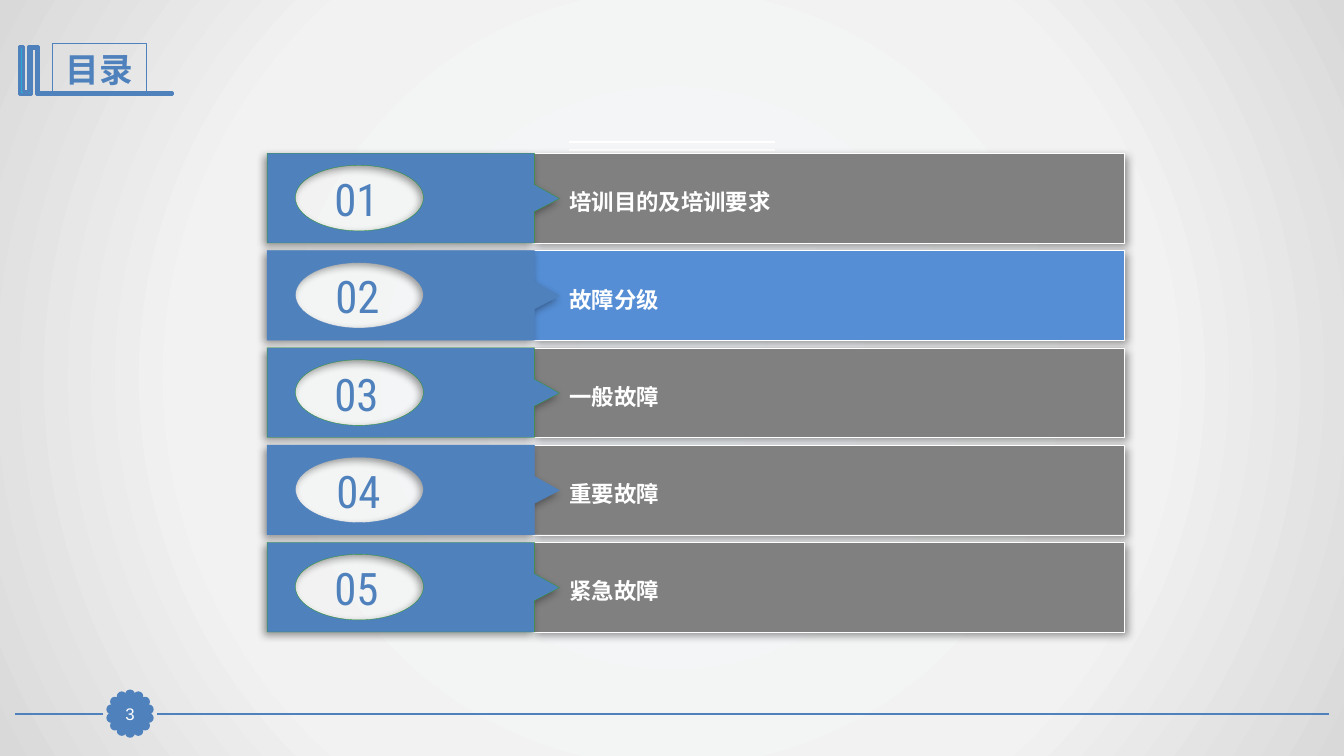
from dataclasses import dataclass
from math import cos, pi, sin

from lxml.etree import SubElement
from pptx import Presentation
from pptx.dml.color import RGBColor
from pptx.enum.shapes import MSO_CONNECTOR as Connector, MSO_SHAPE as Preset
from pptx.enum.text import MSO_ANCHOR as Anchor, MSO_AUTO_SIZE as AutoSize, PP_ALIGN as Align
from pptx.oxml import parse_xml
from pptx.oxml.ns import nsdecls, qn
from pptx.shapes.base import BaseShape
from pptx.shapes.shapetree import GroupShapes, SlideShapes
from pptx.slide import Slide
from pptx.util import Inches, Pt

COLORS = {
    "blue": "4F81BD",
    "bright": "558ED5",
    "cyan": "28A9D6",
    "gray": "808080",
    "green": "339933",
    "white": "FFFFFF",
    "black": "000000",
    "glow": "F6F9FC",
    "mist": "F2F2F2",
    "edge": "D9D9D9",
}
HEADING_FONT = "Roboto Condensed"
BODY_FONT = "Arial"
FIRST_TOP, LAST_TOP = 1.52, 5.38
ROW_HEIGHT = 0.89
BADGE_X, BADGE_Y, BADGE_RADIUS = 1.29, 7.08, 0.19
PETAL_COUNT, PETAL_SIZE = 14, 0.07
BOOK = [
    (0.37, 0.46), (0.38, 0.46), (0.38, 0.92), (1.71, 0.92), (1.71, 0.94), (0.36, 0.94),
    (0.36, 0.48), (0.31, 0.48), (0.31, 0.94), (0.19, 0.94), (0.19, 0.46), (0.23, 0.46),
    (0.23, 0.91), (0.28, 0.91), (0.28, 0.46),
]
TAB = [(2.65, 0), (5.3, 0), (5.3, 0.31), (5.55, 0.45), (5.3, 0.58),
       (5.3, ROW_HEIGHT), (2.65, ROW_HEIGHT)]
HOLE = [
    [(0.91, 0.12)],
    [(0.56, 0.12), (0.28, 0.26), (0.28, 0.44)],
    [(0.28, 0.62), (0.56, 0.77), (0.91, 0.77)],
    [(1.26, 0.77), (1.55, 0.62), (1.55, 0.44)],
    [(1.55, 0.26), (1.26, 0.12), (0.91, 0.12)],
]

Shapes = SlideShapes | GroupShapes
Points = list[tuple[float, float]]


@dataclass
class Topic:
    """One row of the contents."""
    number: str
    label: str
    bar: str = "gray"
    outline: str = "green"
    number_left: float = 3.03


@dataclass
class Rule:
    """A horizontal line."""
    left: float
    right: float
    y: float
    color: str
    width: float


TOPICS = [
    Topic("01", "培训目的及培训要求"),
    Topic("02", "故障分级", "bright", "blue", 3.04),
    Topic("03", "一般故障"),
    Topic("04", "重要故障", outline="blue", number_left=3.05),
    Topic("05", "紧急故障"),
]
FOOTER_RULES = [Rule(1.56, 13.18, 7.08, "blue", 1.25), Rule(0.15, 1.02, 7.08, "blue", 1.25)]
TOP_RULES = [Rule(5.64, 7.69, y, "white", 1.5) for y in (1.41, 1.49)]


def rgb(name: str) -> RGBColor:
    """Return a named colour."""
    return RGBColor.from_string(COLORS[name])


def paint(shape: BaseShape, fill: str, line: str, width: float) -> None:
    """Set fill and outline and drop the theme shadow."""
    shape.fill.solid()
    shape.fill.fore_color.rgb = rgb(fill)
    shape.line.color.rgb = rgb(line)
    shape.line.width = Pt(width)
    shape.shadow.inherit = False


def cast_shadow(shape: BaseShape, angle: int) -> None:
    """Add a soft outer shadow in the given direction."""
    effects = shape.element.spPr.find(qn("a:effectLst"))
    shadow = SubElement(effects, qn("a:outerShdw"), blurRad=str(Pt(6)), dist=str(Pt(3)),
                        dir=str(angle * 60000), algn="tl", rotWithShape="0")
    color = SubElement(shadow, qn("a:srgbClr"), val=COLORS["black"])
    SubElement(color, qn("a:alpha"), val="40000")


def write(box: BaseShape, text: str, *, size: float, font: str, color: str, bold: bool = False,
          align: Align = Align.CENTER, anchor: Anchor = Anchor.MIDDLE,
          inset: tuple[float, float] = (0.1, 0.05)) -> None:
    """Put one formatted paragraph into a shape."""
    frame = box.text_frame
    frame.word_wrap = True
    frame.auto_size = AutoSize.NONE
    frame.vertical_anchor = anchor
    frame.margin_left = frame.margin_right = Inches(inset[0])
    frame.margin_top = frame.margin_bottom = Inches(inset[1])
    para = frame.paragraphs[0]
    para.alignment = align
    span = para.add_run()
    span.text = text
    span.font.size = Pt(size)
    span.font.name = font
    span.font.bold = bold
    span.font.color.rgb = rgb(color)


def add_preset(shapes: Shapes, preset: Preset, left: float, top: float, width: float,
               height: float) -> BaseShape:
    """Add a preset shape measured in inches."""
    return shapes.add_shape(preset, Inches(left), Inches(top), Inches(width), Inches(height))


def add_outline(shapes: Shapes, points: Points) -> BaseShape:
    """Add a closed freeform."""
    start, *others = [(Inches(x), Inches(y)) for x, y in points]
    builder = shapes.build_freeform(*start)
    builder.add_line_segments(others, close=True)
    return builder.convert_to_shape()


def cut_hole(shape: BaseShape) -> None:
    """Cut the curved number window out of a tab."""
    contour = shape.element.find(".//" + qn("a:path"))
    for points in HOLE:
        step = SubElement(contour, qn("a:moveTo" if len(points) == 1 else "a:cubicBezTo"))
        for x, y in points:
            SubElement(step, qn("a:pt"), x=str(Inches(x)), y=str(Inches(y)))
    SubElement(contour, qn("a:close"))


def add_rule(shapes: Shapes, rule: Rule) -> None:
    """Draw a horizontal line."""
    line = shapes.add_connector(Connector.STRAIGHT, Inches(rule.left), Inches(rule.y),
                                Inches(rule.right), Inches(rule.y))
    line.line.color.rgb = rgb(rule.color)
    line.line.width = Pt(rule.width)
    SubElement(line.element.spPr, qn("a:effectLst"))


def add_topic(shapes: Shapes, topic: Topic, top: float) -> None:
    """Draw a contents row with its tab, number and label."""
    row = shapes.add_group_shape().shapes
    bar = add_preset(row, Preset.RECTANGLE, 5.28, top, 5.87, ROW_HEIGHT)
    paint(bar, topic.bar, "white", 0.25)
    cast_shadow(bar, 45)
    tab = add_outline(row, [(x, top + y) for x, y in TAB])
    cut_hole(tab)
    paint(tab, "blue", topic.outline, 0.25)
    cast_shadow(tab, 135)
    number = row.add_textbox(Inches(topic.number_left), Inches(top + 0.13), Inches(1.01),
                             Inches(0.64))
    write(number, topic.number, size=32, font=HEADING_FONT, color="blue")
    label = row.add_textbox(Inches(5.55), Inches(top + 0.3), Inches(5.61), Inches(0.37))
    write(label, topic.label, size=16, font=BODY_FONT, color="white", bold=True,
          align=Align.LEFT, anchor=Anchor.TOP)


def add_petals(shapes: Shapes) -> None:
    """Draw the ring of petals around the page number."""
    petals = shapes.add_group_shape().shapes
    for index in range(PETAL_COUNT):
        angle = 2 * pi * index / PETAL_COUNT
        petal = add_preset(petals, Preset.OVAL,
                           BADGE_X + BADGE_RADIUS * sin(angle) - PETAL_SIZE / 2,
                           BADGE_Y - BADGE_RADIUS * cos(angle) - PETAL_SIZE / 2,
                           PETAL_SIZE, PETAL_SIZE)
        paint(petal, "blue", "blue", 2)


def decorate_layout(page: Slide) -> None:
    """Draw the template decoration and hand it to the slide layout."""
    for rule in FOOTER_RULES:
        add_rule(page.shapes, rule)
    add_petals(page.shapes)
    paint(add_outline(page.shapes, BOOK), "cyan", "blue", 2)
    for shape in list(page.shapes)[1:]:
        for label in shape.element.iter(qn("p:cNvPr")):
            label.set("id", str(int(label.get("id")) + 100))
        page.slide_layout.shapes.element.append(shape.element)


def set_background(page: Slide) -> None:
    """Give the slide a circular gradient."""
    stops = "".join(f'<a:gs pos="{place * 1000}"><a:srgbClr val="{COLORS[name]}"/></a:gs>'
                    for place, name in ((0, "glow"), (63, "mist"), (100, "edge")))
    page.shapes.element.addprevious(parse_xml(
        f'<p:bg {nsdecls("p", "a")}><p:bgPr><a:gradFill rotWithShape="1"><a:gsLst>{stops}</a:gsLst>'
        '<a:path path="circle"><a:fillToRect l="50000" t="50000" r="50000" b="50000"/></a:path>'
        '</a:gradFill><a:effectLst/></p:bgPr></p:bg>'))


def main() -> None:
    """Build and save the contents slide."""
    deck = Presentation()
    deck.slide_width, deck.slide_height = Inches(13.33), Inches(7.5)
    page = deck.slides.add_slide(deck.slide_layouts[5])
    set_background(page)
    decorate_layout(page)
    title = page.shapes.title
    title.left, title.top, title.width, title.height = map(Inches, (0.52, 0.43, 0.93, 0.51))
    title.line.color.rgb = rgb("blue")
    title.line.width = Pt(0.75)
    write(title, "目录", size=24, font=HEADING_FONT, color="blue", bold=True)
    center = add_preset(page.shapes, Preset.RECTANGLE, 1.13, 6.93, 0.32, 0.31)
    paint(center, "blue", "blue", 0.75)
    write(center, "3", size=12, font=BODY_FONT, color="white", inset=(0, 0))
    for rule in TOP_RULES:
        add_rule(page.shapes, rule)
    pitch = (LAST_TOP - FIRST_TOP) / (len(TOPICS) - 1)
    for index, topic in enumerate(TOPICS):
        add_topic(page.shapes, topic, FIRST_TOP + index * pitch)
    deck.save("out.pptx")


if __name__ == "__main__":
    main()
